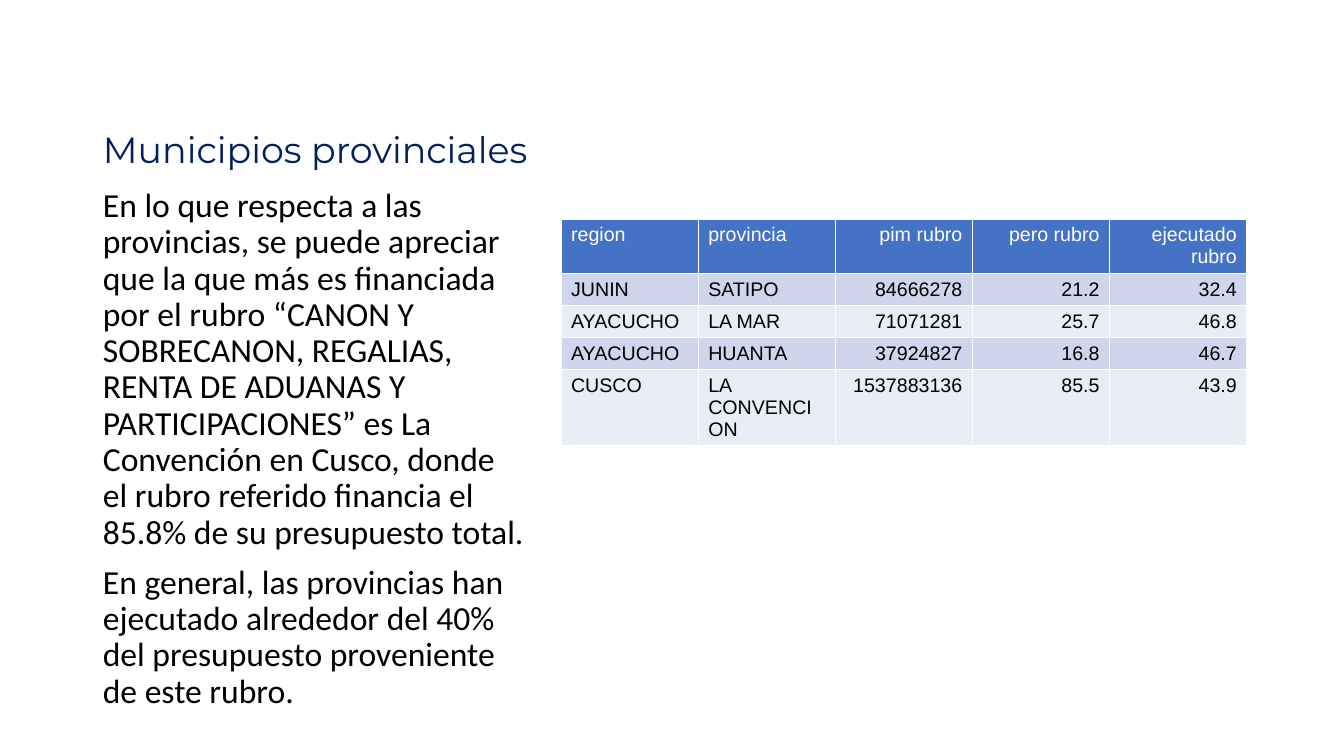
from pptx import Presentation
from pptx.dml.color import RGBColor
from pptx.enum.text import MSO_ANCHOR, MSO_AUTO_SIZE, PP_ALIGN
from pptx.util import Pt

SCALE = 914400 / 100.8


def px(*sizes):
    return [round(size * SCALE) for size in sizes]


def color(code):
    return RGBColor.from_string(code)


class Page:
    white, black, navy, blue = "FFFFFF", "000000", "002060", "4472C4"
    bands = ("CFD5EA", "E9EBF5")

    def __init__(self, deck):
        self.slide = deck.slides.add_slide(deck.slide_layouts[6])

    def style(self, para, face, size, ink):
        for run in para.runs:
            font = run.font
            font.name, font.size, font.bold = face, Pt(size), False
            font.color.rgb = color(ink)

    def text(self, box, words, face, size, ink, before=0):
        frame = self.slide.shapes.add_textbox(*px(*box)).text_frame
        frame.word_wrap = True
        frame.auto_size = MSO_AUTO_SIZE.NONE
        frame.vertical_anchor = MSO_ANCHOR.MIDDLE
        frame.text = words
        for para in frame.paragraphs:
            para.line_spacing = 0.9
            para.space_before = Pt(before)
            self.style(para, face, size, ink)

    def table(self, left, top, width, heights, rows):
        box = px(left, top, width, sum(heights))
        table = self.slide.shapes.add_table(len(rows), len(rows[0]), *box).table
        for r, row in enumerate(rows):
            table.rows[r].height = px(heights[r])[0]
            fill = self.bands[(r - 1) % 2] if r else self.blue
            ink = self.black if r else self.white
            for c, value in enumerate(row):
                cell = table.cell(r, c)
                cell.fill.solid()
                cell.fill.fore_color.rgb = color(fill)
                cell.text_frame.text = str(value)
                para = cell.text_frame.paragraphs[0]
                para.alignment = PP_ALIGN.RIGHT if c > 1 else PP_ALIGN.LEFT
                self.style(para, "Arial", 14, ink)


deck = Presentation()
deck.slide_width, deck.slide_height = px(1344, 756)
page = Page(deck)

# Title
page.text((93, 117, 1159, 70), "Municipios provinciales", "Montserrat", 26, page.navy)

# Findings
notes = [
    "En lo que respecta a las provincias, se puede apreciar que la que más es "
    "financiada por el rubro “CANON Y SOBRECANON, REGALIAS, RENTA DE ADUANAS Y "
    "PARTICIPACIONES” es La Convención en Cusco, donde el rubro referido "
    "financia el 85.8% de su presupuesto total.",
    "En general, las provincias han ejecutado alrededor del 40% del presupuesto "
    "proveniente de este rubro.",
]
page.text((93, 219, 442, 461), "\n".join(notes), "Calibri", 24, page.black, 10)

# Budget by province
rows = [
    ("region", "provincia", "pim rubro", "pero rubro", "ejecutado rubro"),
    ("JUNIN", "SATIPO", 84666278, 21.2, 32.4),
    ("AYACUCHO", "LA MAR", 71071281, 25.7, 46.8),
    ("AYACUCHO", "HUANTA", 37924827, 16.8, 46.7),
    ("CUSCO", "LA CONVENCION", 1537883136, 85.5, 43.9),
]
page.table(561, 219, 686, (54, 32, 32, 32, 76), rows)

deck.save("out.pptx")
